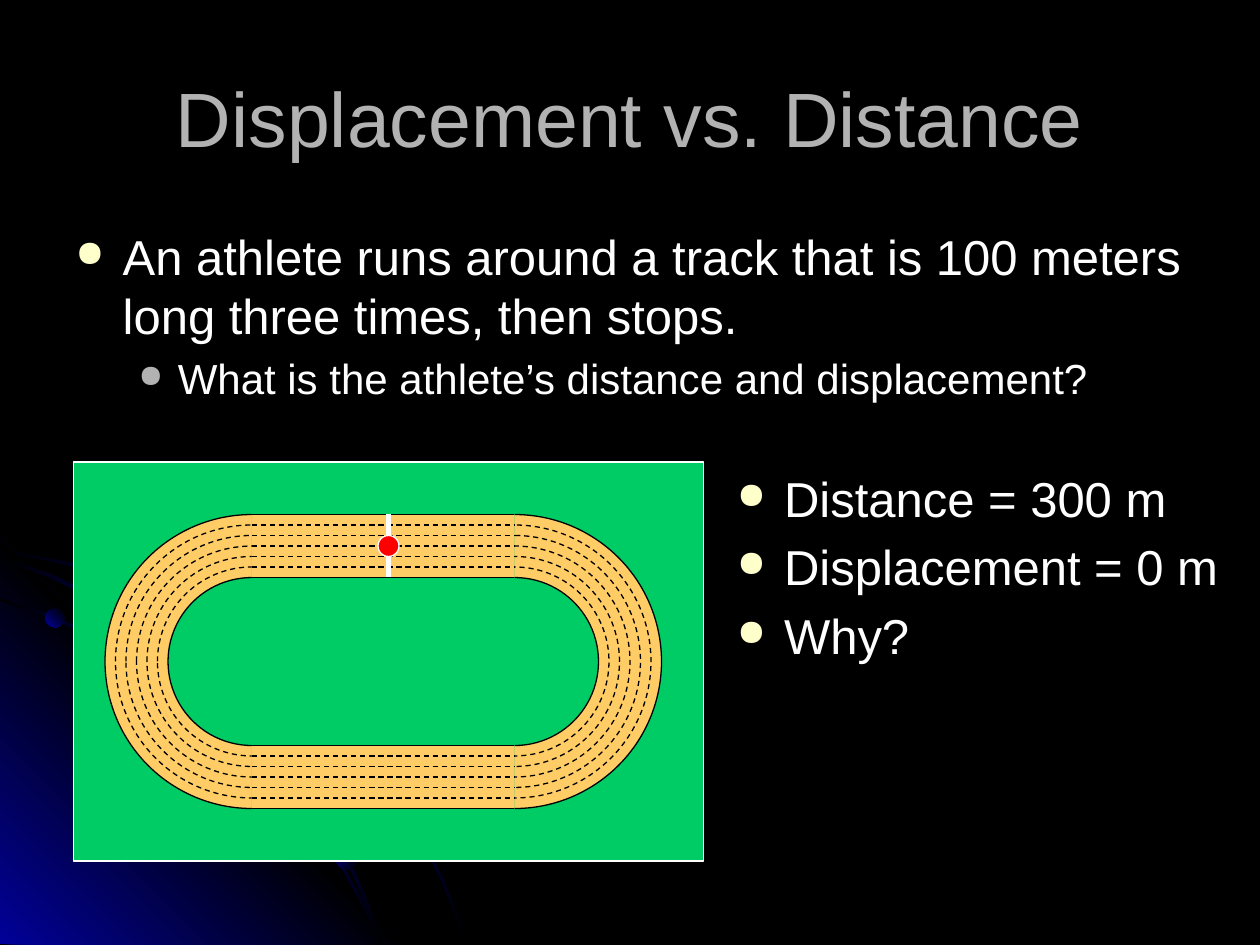
import pptx
import pptx.util
import pptx.dml.color
import pptx.enum.dml
import pptx.enum.shapes
import pptx.enum.text
import pptx.oxml
import pptx.oxml.ns
from lxml import etree

Pt = pptx.util.Pt
SHAPE = pptx.enum.shapes.MSO_SHAPE
ALIGN = pptx.enum.text.PP_ALIGN
ANCHOR = pptx.enum.text.MSO_ANCHOR
DASH = pptx.enum.dml.MSO_LINE.DASH

BLACK, WHITE, BLUE, GRAY, CREAM = "000000", "FFFFFF", "010199", "B2B2B2", "FFFFCC"
GRASS, CLAY, RED = "00CC66", "FFCC66", "FF0000"

MAIN = {"size": 28, "color": WHITE, "bullet": CREAM, "left": 27, "hang": 27, "before": 5.6}
SUB = {"size": 24, "color": WHITE, "bullet": GRAY, "left": 58.5, "hang": 22.5, "before": 4.8}
TITLE = {"size": 44, "color": GRAY, "align": ALIGN.CENTER}

TEXTS = [
    ((36, 21.6, 648, 90), ANCHOR.MIDDLE, [("Displacement vs. Distance", TITLE)]),
    ((36, 126, 666, 132), ANCHOR.TOP, [
        ("An athlete runs around a track that is 100 meters long three times, then stops.", MAIN),
        ("What is the athlete’s distance and displacement?", SUB)]),
    ((414, 264, 294, 228), ANCHOR.TOP, [
        ("Distance = 300 m", MAIN), ("Displacement = 0 m", MAIN), ("Why?", MAIN)]),
]

STREAK = ([(0, BLACK), (50, BLUE), (100, BLACK)], 45)
GLOW = ([(0, BLUE), (50, BLACK), (100, BLUE)], 315)
CURVES = [
    (STREAK, [
        (41, 321.8), (20.2, 317.5), (0, 313.2), (0, 315.4), (20.2, 319), (40.3, 323.3),
        (69.8, 331.9), (97.2, 344.2), (124.6, 359.3), (149.8, 376.6), (173.5, 395.3),
        (195.1, 416.9), (214.6, 440.6), (232.6, 467.3), (242.6, 484.6), (252, 502.6),
        (259.2, 520.6), (266.4, 539.3), (267.8, 539.3), (260.6, 520.6), (253.4, 502.6),
        (244.1, 484.6), (234, 466.6), (216, 439.9), (195.8, 416.2), (174.2, 394.6),
        (150.5, 375.1), (125.3, 357.8), (97.9, 343.4), (70.6, 330.5)]),
    (GLOW, [(232, 539.6), (0, 539.6), (0, 307.4)]),
    (STREAK, [
        (205.2, 514.1), (211.7, 527), (216.7, 539.3), (218.2, 539.3), (213.1, 525.6),
        (205.9, 512.6), (191.5, 486.7), (174.2, 460.8), (154.8, 436.3), (132.5, 414.7),
        (109.4, 395.3), (84.2, 378.7), (56.9, 363.6), (29.5, 351.4), (0, 342), (0, 343.4),
        (28.1, 352.8), (55.4, 365), (82.8, 380.2), (108, 396.7), (131.8, 416.2),
        (153.4, 437.8), (172.8, 461.5), (190.8, 487.4)]),
    (STREAK, [
        (0, 318.2), (0, 319.7), (25.9, 329), (53.3, 342), (78.5, 355.7), (102.2, 373),
        (124.6, 391.7), (145.4, 414), (163.4, 435.6), (181.4, 461.5), (192.2, 480.2),
        (201.6, 499.7), (210.2, 519.8), (216.7, 539.3), (218.2, 539.3), (211.7, 518.4),
        (203, 499), (193.7, 478.8), (182.9, 460.1), (164.9, 434.2), (146.9, 412.6),
        (126, 391), (103.7, 371.5), (79.9, 355), (54.7, 340.6), (28.1, 327.6)]),
]
DOTS = [((25.9, 347.8, 10.8, 10.8), 315), ((192.2, 485.3, 11.5, 11.5), 45)]

FIELD = (42, 264, 360, 228)
LEFT, RIGHT, MIDDLE = 144, 294, 378
OUTER, INNER, LANE = 84, 48, 6
START_X, RUNNER = 222, 6


def rgb(color):
    return pptx.dml.color.RGBColor.from_string(color)


def pts(values):
    return [Pt(v) for v in values]


def set_line(line, color, width=0.75, dash=None):
    line.color.rgb = rgb(color)
    line.width = Pt(width)
    if dash:
        line.dash_style = dash


def shape(s, kind, box, fill=None, line=None, dash=None):
    sp = s.shapes.add_shape(kind, *pts(box))
    sp.shadow.inherit = False
    if fill:
        sp.fill.solid()
        sp.fill.fore_color.rgb = rgb(fill)
    else:
        sp.fill.background()
    if line:
        set_line(sp.line, line, dash=dash)
    else:
        sp.line.fill.background()
    return sp


def gradient(sp, stops, angle):
    sp.shadow.inherit = False
    sp.line.fill.background()
    sp.fill.gradient()
    grad = sp.fill._fill._gradFill
    gs_list = grad.find(pptx.oxml.ns.qn("a:gsLst"))
    for gs in list(gs_list):
        gs_list.remove(gs)
    for pos, color in stops:
        gs = etree.SubElement(gs_list, pptx.oxml.ns.qn("a:gs"), pos=str(pos * 1000))
        etree.SubElement(gs, pptx.oxml.ns.qn("a:srgbClr"), val=color)
    grad.find(pptx.oxml.ns.qn("a:lin")).set("ang", str(angle * 60000))


def connector(s, start, end, color, width=0.75, dash=None):
    kind = pptx.enum.shapes.MSO_CONNECTOR.STRAIGHT
    c = s.shapes.add_connector(kind, *pts(start + end))
    set_line(c.line, color, width, dash)
    etree.SubElement(c._element.spPr, pptx.oxml.ns.qn("a:effectLst"))
    return c


def bullet(p, fmt):
    pPr = p._p.get_or_add_pPr()
    pPr.set("marL", str(Pt(fmt["left"])))
    pPr.set("indent", str(-Pt(fmt["hang"])))
    clr = etree.SubElement(pPr, pptx.oxml.ns.qn("a:buClr"))
    etree.SubElement(clr, pptx.oxml.ns.qn("a:srgbClr"), val=fmt["bullet"])
    etree.SubElement(pPr, pptx.oxml.ns.qn("a:buSzPct"), val="75000")
    etree.SubElement(pPr, pptx.oxml.ns.qn("a:buChar"), char="●")


def text(s, box, anchor, items):
    tf = s.shapes.add_textbox(*pts(box)).text_frame
    tf.word_wrap = True
    tf.vertical_anchor = anchor
    for i, (words, fmt) in enumerate(items):
        p = tf.paragraphs[0] if i == 0 else tf.add_paragraph()
        if "bullet" in fmt:
            bullet(p, fmt)
        if "align" in fmt:
            p.alignment = fmt["align"]
        if i:
            p.space_before = Pt(fmt["before"])
        r = p.add_run()
        r.text = words
        for name, value in {"name": "Arial", "size": Pt(fmt["size"])}.items():
            setattr(r.font, name, value)
        r.font.color.rgb = rgb(fmt["color"])


def backdrop(s):
    s.background.fill.solid()
    s.background.fill.fore_color.rgb = rgb(BLACK)
    for (stops, angle), points in CURVES:
        fb = s.shapes.build_freeform(*pts(points[0]))
        fb.add_line_segments([pts(pt) for pt in points[1:]], close=True)
        gradient(fb.convert_to_shape(), stops, angle)
    for box, angle in DOTS:
        gradient(shape(s, SHAPE.OVAL, box), [(0, BLUE), (100, BLACK)], angle)


def track(s):
    shape(s, SHAPE.RECTANGLE, FIELD, GRASS, WHITE)
    lanes = range(OUTER - LANE, INNER, -LANE)
    rings = [(OUTER, CLAY, None), (INNER, GRASS, None)] + [(r, None, DASH) for r in lanes]
    for x in (LEFT, RIGHT):
        for r, fill, dash in rings:
            shape(s, SHAPE.OVAL, (x - r, MIDDLE - r, 2 * r, 2 * r), fill, BLACK, dash)
    length, depth = RIGHT - LEFT, OUTER - INNER
    shape(s, SHAPE.RECTANGLE, (LEFT, MIDDLE - 96, length, 198), GRASS)
    for top in (MIDDLE - OUTER, MIDDLE + INNER):
        straight = shape(s, SHAPE.RECTANGLE, (LEFT, top, length, depth), CLAY)
        for offset in range(0, depth + 1, LANE):
            dash = DASH if 0 < offset < depth else None
            y = top + offset
            c = connector(s, (LEFT, y), (RIGHT, y), BLACK, dash=dash)
            if offset * 2 == depth:
                c.begin_connect(straight, 1)
                c.end_connect(straight, 3)
    top = MIDDLE - OUTER
    connector(s, (START_X, top), (START_X, top + depth), WHITE, 3)
    box = (START_X - RUNNER, top + depth / 2 - RUNNER, 2 * RUNNER, 2 * RUNNER)
    shape(s, SHAPE.OVAL, box, RED, WHITE)


def main():
    prs = pptx.Presentation()
    prs.slide_width, prs.slide_height = Pt(720), Pt(540)
    s = prs.slides.add_slide(prs.slide_layouts[6])
    backdrop(s)
    for box, anchor, items in TEXTS:
        text(s, box, anchor, items)
    track(s)
    prs.save("out.pptx")


if __name__ == "__main__":
    main()
